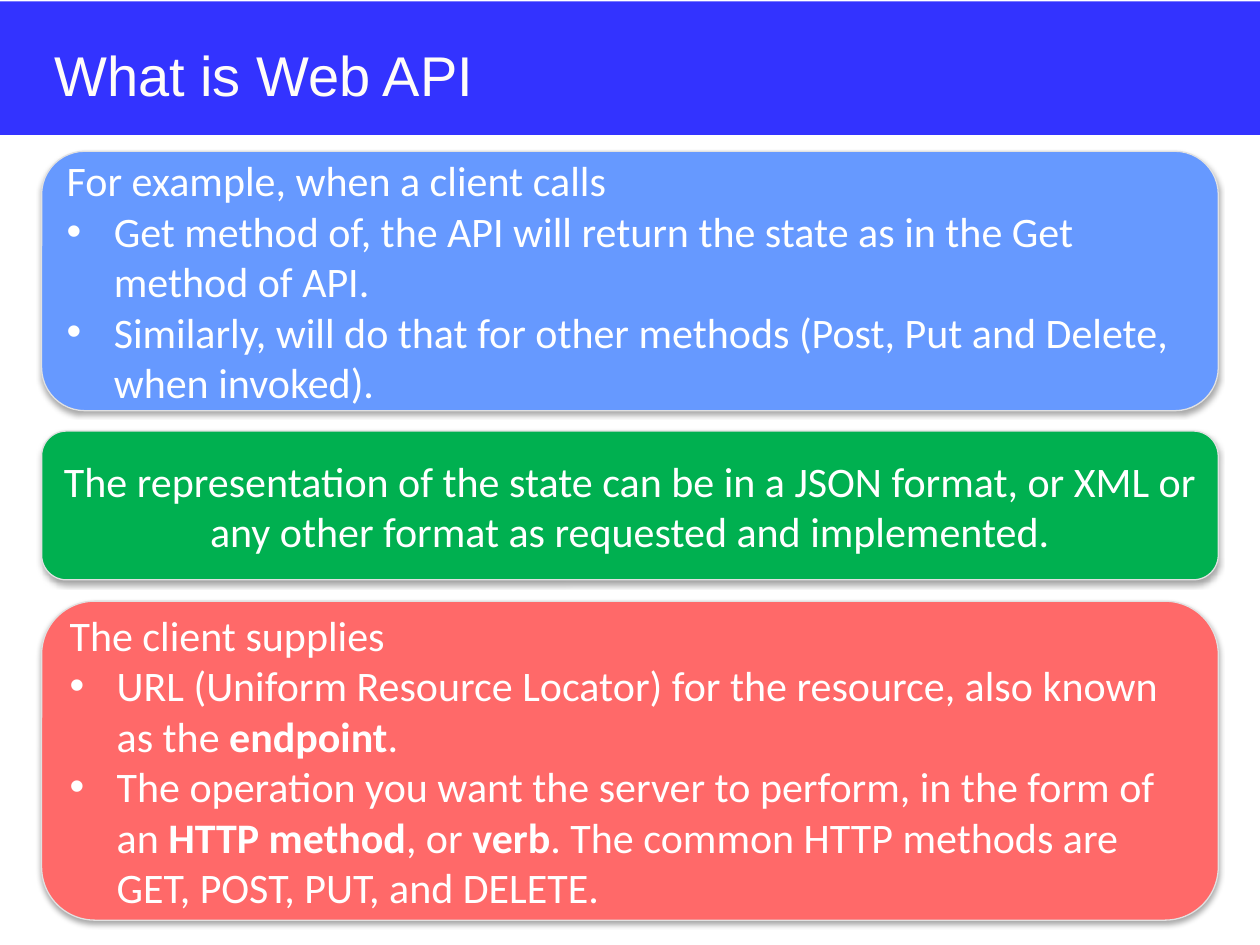
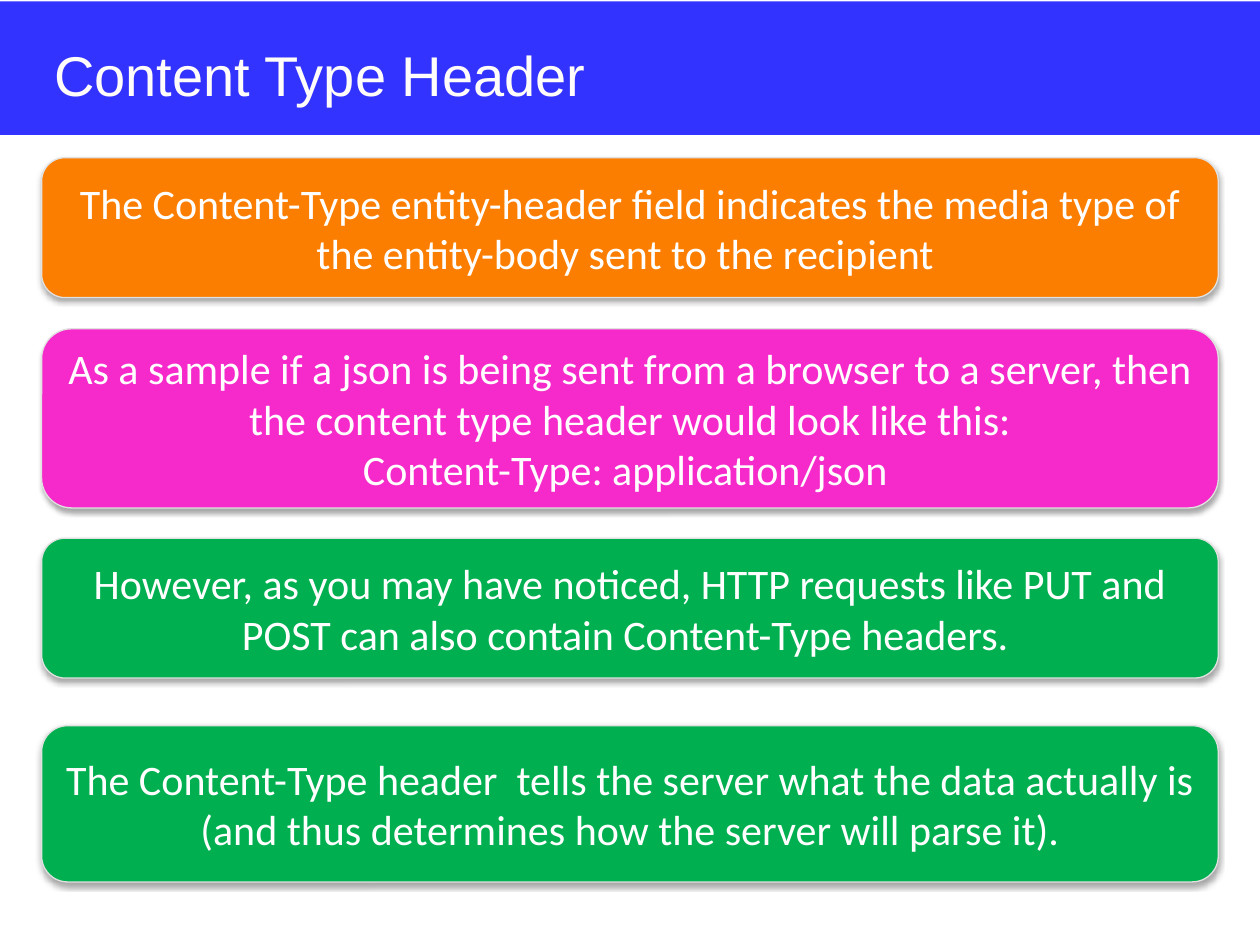
from lxml import etree
from pptx import Presentation
from pptx import util as u
from pptx.dml.color import RGBColor
from pptx.enum import shapes, text
from pptx.oxml.ns import qn

WIDE, TALL = 25.4, 19.05
LEFT, SPAN = 0.84, 23.72
BAND, WHITE, EDGE = "3333FF", "FFFFFF", "E1E1E1"
INK = "FFFCF9"
GREEN = "00B050"

# Each card: top and height in cm, fill, paragraphs.
# "• " opens a bullet and ** encloses bold words; a card with bullets is left aligned.
SLIDES = [
    ("What is Web API", [
        (3.05, 5.23, "6699FF", [
            "For example, when a client calls",
            "• Get method of, the API will return the state as in the Get method of API.",
            "• Similarly, will do that for other methods (Post, Put and Delete, when invoked).",
        ]),
        (8.69, 3.0, GREEN, [
            "The representation of the state can be in a JSON format, or XML or "
            "any other format as requested and implemented.",
        ]),
        (12.12, 6.43, "FF6969", [
            "The client supplies",
            "• URL (Uniform Resource Locator) for the resource, also known as the **endpoint**.",
            "• The operation you want the server to perform, in the form of an **HTTP method**, "
            "or **verb**. The common HTTP methods are GET, POST, PUT, and DELETE.",
        ]),
    ]),
    ("Content Type Header", [
        (3.18, 2.82, "FC7E00", [
            "The Content-Type entity-header field indicates the media type of "
            "the entity-body sent to the recipient ",
        ]),
        (6.63, 3.61, "F62ACA", [
            "As a sample if a json is being sent from a browser to a server, then "
            "the content type header would look like this:\n"
            "Content-Type: application/json ",
        ]),
        (10.85, 2.82, GREEN, [
            "However, as you may have noticed, HTTP requests like PUT and "
            "POST can also contain Content-Type headers. ",
        ]),
        (14.63, 3.15, GREEN, [
            "The Content-Type header  tells the server what the data actually is "
            "(and thus determines how the server will parse it).",
        ]),
    ]),
]


def rgb(code):
    return RGBColor.from_string(code)


def style(para, face, size, tone):
    para.font.name = face
    para.font.size = u.Pt(size)
    para.font.color.rgb = rgb(tone)


def place(shape, *box):
    shape.left, shape.top, shape.width, shape.height = map(u.Cm, box)


def add_block(slide, kind, box, fill):
    shape = slide.shapes.add_shape(kind, *map(u.Cm, box))
    shape.fill.solid()
    shape.fill.fore_color.rgb = rgb(fill)
    shape.line.fill.background()
    shape.shadow.inherit = False
    return shape


def add_shadow(shape):
    effects = shape.element.spPr.find(qn("a:effectLst"))
    drop = etree.SubElement(
        effects, qn("a:outerShdw"), blurRad=str(u.Pt(3.1)), dist=str(u.Pt(1.8)),
        dir="5400000", rotWithShape="0")
    tone = etree.SubElement(drop, qn("a:srgbClr"), val="000000")
    etree.SubElement(tone, qn("a:alpha"), val="35000")


def add_bullet(para):
    props = para._p.get_or_add_pPr()
    hang = u.Cm(0.95)
    props.set("marL", str(hang))
    props.set("indent", str(-hang))
    etree.SubElement(props, qn("a:buFont"), typeface="Arial")
    etree.SubElement(props, qn("a:buChar"), char="•")


def add_band(slide):
    band = add_block(slide, shapes.MSO_SHAPE.RECTANGLE, (0, 0.03, WIDE, 2.69), BAND)
    tree = slide.shapes.element
    tree.remove(band.element)
    tree.insert(2, band.element)  # behind the title


def set_title(slide, words):
    title = slide.shapes.title
    place(title, LEFT, 0.71, SPAN, 1.57)
    frame = title.text_frame
    frame.text = words
    frame.auto_size = text.MSO_AUTO_SIZE.NONE
    frame.vertical_anchor = text.MSO_ANCHOR.MIDDLE
    para = frame.paragraphs[0]
    para.alignment = text.PP_ALIGN.LEFT
    style(para, "Arial", 32, INK)


def add_card(slide, top, high, fill, lines):
    card = add_block(slide, shapes.MSO_SHAPE.ROUNDED_RECTANGLE,
                     (LEFT, top, SPAN, high), fill)
    card.line.color.rgb = rgb(EDGE)
    card.line.width = u.Pt(0.75)
    add_shadow(card)
    frame = card.text_frame
    frame.word_wrap = True
    frame.vertical_anchor = text.MSO_ANCHOR.MIDDLE
    listed = any(line.startswith("• ") for line in lines)
    for i, line in enumerate(lines):
        para = frame.add_paragraph() if i else frame.paragraphs[0]
        para.alignment = text.PP_ALIGN.LEFT if listed else text.PP_ALIGN.CENTER
        if line.startswith("• "):
            add_bullet(para)
        first, *rest = line.removeprefix("• ").split("**")
        para.text = first
        for n, part in enumerate(rest):
            run = para.add_run()
            run.text = part
            if n % 2 == 0:
                run.font.bold = True
        style(para, "Calibri", 24, WHITE)


def main():
    deck = Presentation()
    deck.slide_width, deck.slide_height = u.Cm(WIDE), u.Cm(TALL)
    for name, cards in SLIDES:
        slide = deck.slides.add_slide(deck.slide_layouts.get_by_name("Title Only"))
        add_band(slide)
        set_title(slide, name)
        for card in cards:
            add_card(slide, *card)
    deck.save("out.pptx")


if __name__ == "__main__":
    main()
